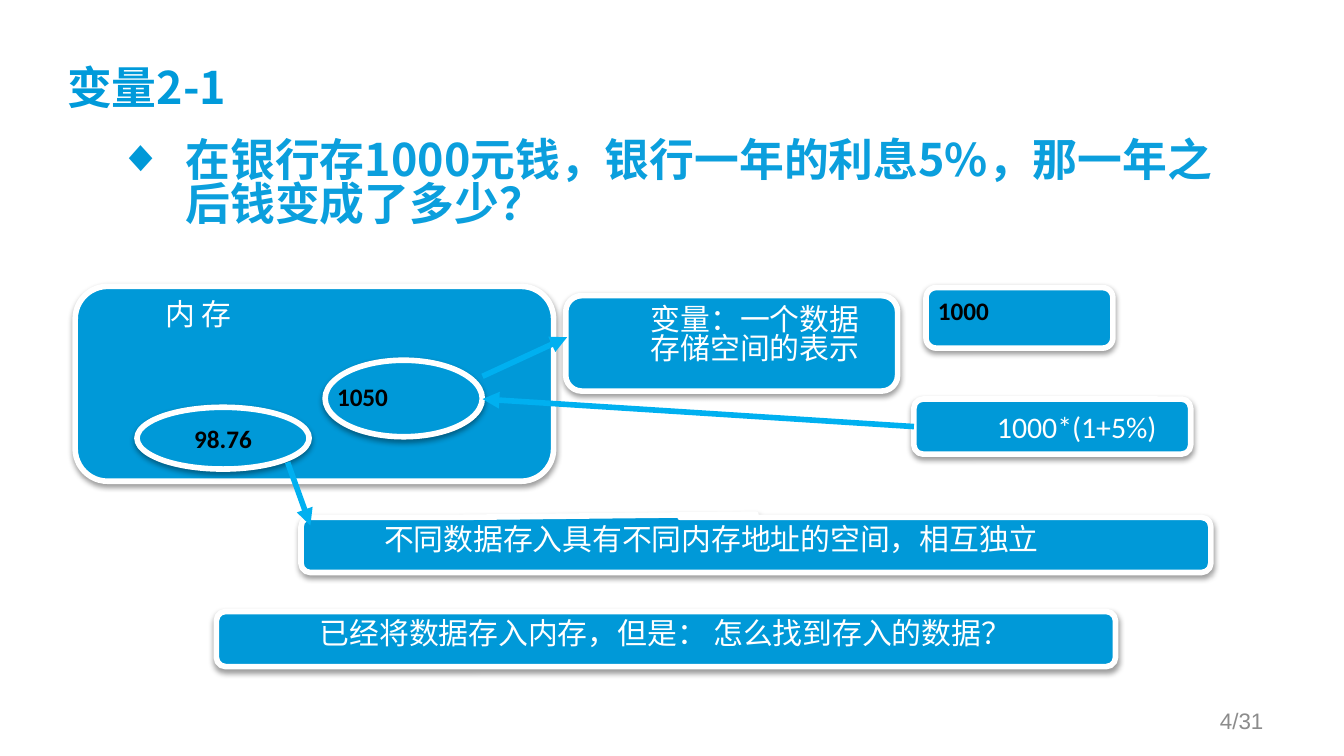
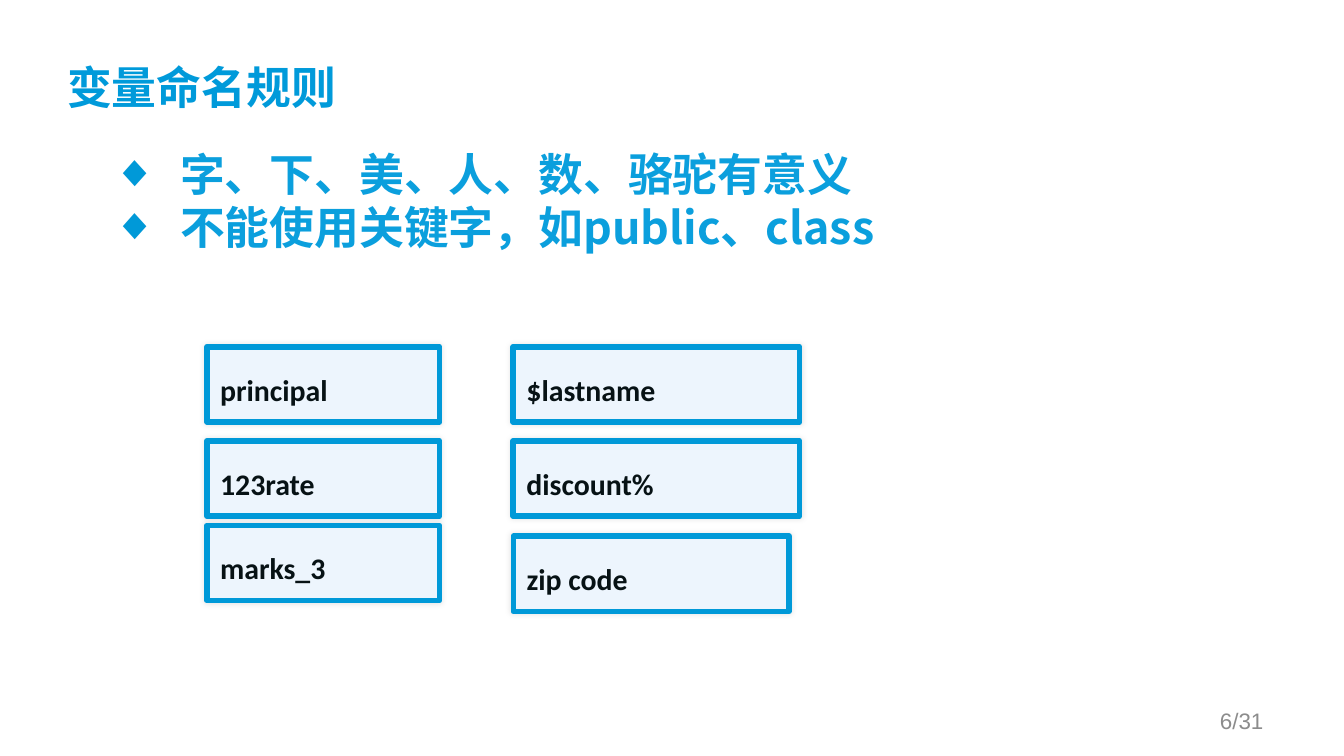
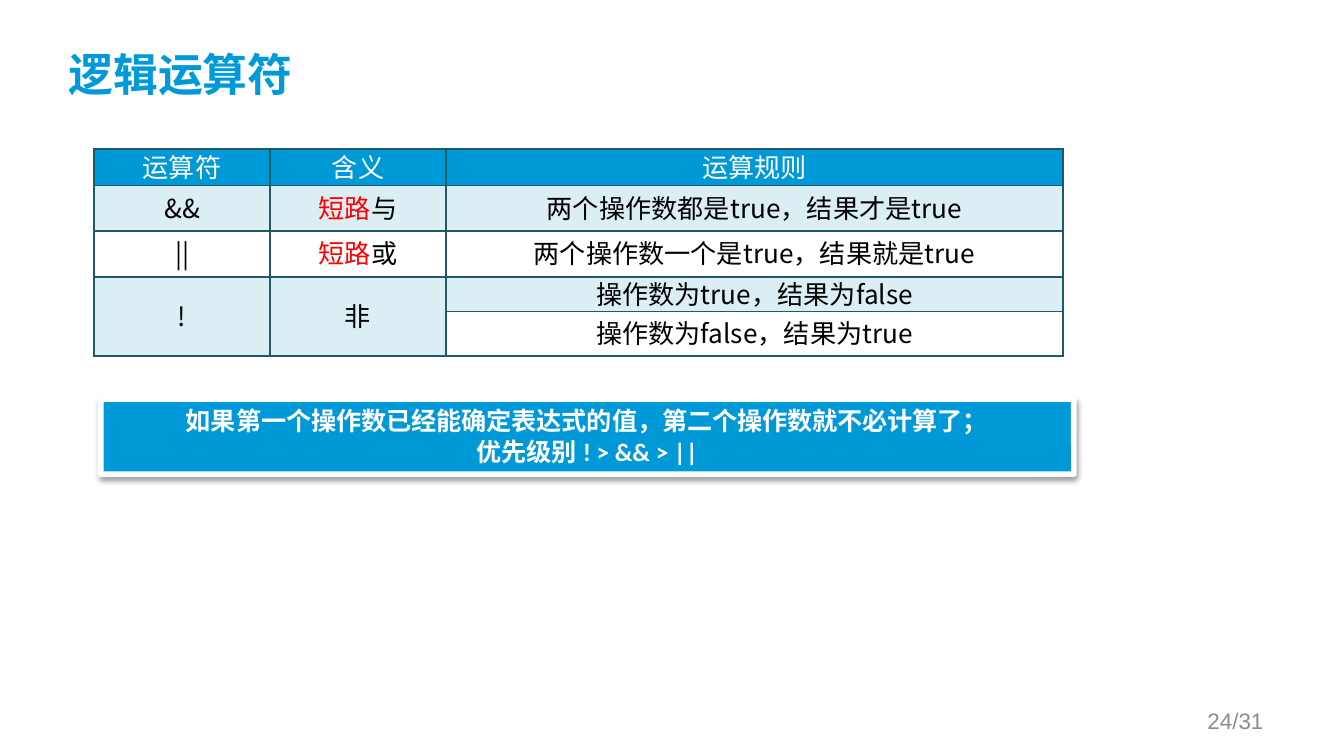
from lxml import etree
from pptx import Presentation
from pptx.dml.color import RGBColor
from pptx.enum import shapes, text
from pptx.oxml.ns import qn
from pptx.util import Pt

BLUE = RGBColor(0x00, 0x99, 0xD8)
TITLE_BLUE = RGBColor(0x00, 0x9A, 0xDA)
BODY_BLUE = RGBColor(0x0B, 0x9F, 0xDD)
ARROW_BLUE = RGBColor(0x00, 0xB0, 0xF0)
PALE_BLUE = RGBColor(0xED, 0xF5, 0xFD)
BAND_BLUE = RGBColor(0xDB, 0xEE, 0xF4)
BORDER = RGBColor(0x21, 0x59, 0x68)
WHITE = RGBColor(0xFF, 0xFF, 0xFF)
BLACK = RGBColor(0x00, 0x00, 0x00)
INK = RGBColor(0x07, 0x12, 0x15)
RED = RGBColor(0xFF, 0x00, 0x00)
GRAY = RGBColor(0x8C, 0x8C, 0x8C)

CHINESE = "Noto Sans CJK SC"
LATIN = "Calibri"
CHINESE_LINE = 0.82
PAGE_COUNT = 31

SHAPE = shapes.MSO_SHAPE
ALIGN = text.PP_ALIGN
DARK_SHADOW = (38, 3.1, 1.6)
FAINT_SHADOW = (10, 3, 0)


def points(*lengths):
    return [Pt(length) for length in lengths]


def add_xml(parent, tag, **attributes):
    return etree.SubElement(parent, qn(tag), {k: str(v) for k, v in attributes.items()})


def style_paragraph(paragraph, size, color, font=CHINESE, bold=False, align=ALIGN.LEFT,
                    margin=0, indent=0):
    paragraph.alignment = align
    if font == CHINESE:
        paragraph.line_spacing = CHINESE_LINE
    paragraph.font.size = Pt(size)
    paragraph.font.bold = bold
    paragraph.font.color.rgb = color
    paragraph.font.name = font
    properties = paragraph._p.get_or_add_pPr()
    properties.set("marL", str(Pt(margin)))
    properties.set("indent", str(Pt(indent)))
    add_xml(properties.find(qn("a:defRPr")), "a:ea", typeface=font)


def write(shape, content, size, color, anchor=text.MSO_ANCHOR.TOP, **style):
    frame = shape.text_frame
    frame.text = content
    frame.word_wrap = True
    frame.auto_size = text.MSO_AUTO_SIZE.NONE
    frame.vertical_anchor = anchor
    for paragraph in frame.paragraphs:
        style_paragraph(paragraph, size, color, **style)
    return frame


def add_text(slide, box, content, size, color, **style):
    write(slide.shapes.add_textbox(*points(*box)), content, size, color, **style)


def add_box(slide, kind, box, fill=BLUE, line=WHITE, shadow=DARK_SHADOW):
    shape = slide.shapes.add_shape(kind, *points(*box))
    shape.fill.solid()
    shape.fill.fore_color.rgb = fill
    shape.line.color.rgb = line
    shape.line.width = Pt(3)
    shape.shadow.inherit = False
    alpha, blur, distance = shadow
    effects = shape._element.spPr.find(qn("a:effectLst"))
    outer = add_xml(effects, "a:outerShdw", blurRad=Pt(blur), dist=Pt(distance),
                    dir=5400000, rotWithShape=0)
    add_xml(add_xml(outer, "a:srgbClr", val=BLACK), "a:alpha", val=alpha * 1000)
    return shape


def add_arrow(slide, start, end):
    arrow = slide.shapes.add_connector(shapes.MSO_CONNECTOR.STRAIGHT, *points(*start, *end))
    arrow.line.color.rgb = ARROW_BLUE
    arrow.line.width = Pt(3)
    add_xml(arrow.line._get_or_add_ln(), "a:tailEnd", type="triangle")
    add_xml(arrow._element.spPr, "a:effectLst")
    return arrow


def place(shape, box):
    shape.left, shape.top, shape.width, shape.height = points(*box)


def add_slide(presentation, layout, title, page, title_at=(36, 16.6)):
    """Add a slide with its title and page number."""
    slide = presentation.slides.add_slide(presentation.slide_layouts[layout])
    place(slide.shapes.title, (*title_at, 648, 67.7))
    frame = write(slide.shapes.title, title, 24, TITLE_BLUE, bold=True,
                  anchor=text.MSO_ANCHOR.MIDDLE)
    frame.margin_left = frame.margin_top = 0
    add_text(slide, (516.2, 375.1, 167.8, 21.6), f"{page}/{PAGE_COUNT}", 12, GRAY,
             font="Arial", align=ALIGN.RIGHT, anchor=text.MSO_ANCHOR.MIDDLE)
    return slide


def write_bullets(slide, box, items):
    body = slide.placeholders[1]
    place(body, box)
    frame = write(body, "\n".join(items), 24, BODY_BLUE, bold=True, margin=36, indent=-36)
    for paragraph in frame.paragraphs:
        paragraph.space_before = Pt(4.8)
        properties = paragraph._p.pPr
        color = add_xml(properties, "a:buClr")
        add_xml(color, "a:srgbClr", val=BLUE)
        bullet = add_xml(properties, "a:buChar", char="◆")
        for element in (color, bullet):
            properties.find(qn("a:defRPr")).addprevious(element)


def write_cell(cell, content, color, fill):
    """Fill a table cell; a (stressed, rest) pair puts its first part in red."""
    cell.margin_left = cell.margin_right = cell.margin_top = Pt(0.72)
    cell.margin_bottom = 0
    cell.vertical_anchor = text.MSO_ANCHOR.MIDDLE
    paragraph = cell.text_frame.paragraphs[0]
    stressed, rest = content if isinstance(content, tuple) else ("", content)
    if stressed:
        run = paragraph.add_run()
        run.text = stressed
        run.font.color.rgb = RED
    paragraph.add_run().text = rest
    paragraph.space_before = Pt(2.8)
    style_paragraph(paragraph, 14, color, align=ALIGN.CENTER)
    for side in "LRTB":
        line = add_xml(cell._tc.get_or_add_tcPr(), f"a:ln{side}", w=Pt(1))
        add_xml(add_xml(line, "a:solidFill"), "a:srgbClr", val=BORDER)
    cell.fill.solid()
    cell.fill.fore_color.rgb = fill


def add_operator_table(slide, left, top, widths, heights, rows):
    table = slide.shapes.add_table(len(heights), len(widths), *points(
        left, top, sum(widths), sum(heights))).table
    for column, width in zip(table.columns, widths):
        column.width = Pt(width)
    for row, height in zip(table.rows, heights):
        row.height = Pt(height)
    for r, row in enumerate(rows):
        fill = BLUE if r == 0 else BAND_BLUE if r % 2 else WHITE
        for c, content in enumerate(row):
            write_cell(table.cell(r, c), content, BLACK if r else WHITE, fill)
    for c in (0, 1):
        table.cell(3, c).merge(table.cell(4, c))


def build_variable_slide(presentation):
    slide = add_slide(presentation, 1, "变量2-1", 4)
    write_bullets(slide, (56.2, 72, 624.2, 85),
                  ["在银行存1000元钱，银行一年的利息5%，那一年之后钱变成了多少？"])
    value = dict(size=13.5, color=BLACK, font=LATIN, bold=True)
    label = dict(size=16, color=WHITE)

    formula = add_box(slide, SHAPE.ROUNDED_RECTANGLE, (489.6, 213.8, 148.3, 29.5))
    write(formula, "1000*(1+5%)", font=LATIN, margin=36, **label)
    add_box(slide, SHAPE.ROUNDED_RECTANGLE, (496.1, 154.1, 100.1, 32.4))
    memory = add_box(slide, SHAPE.ROUNDED_RECTANGLE, (40.3, 153.4, 256.3, 104.4))
    write(memory, "内 存", margin=36, **label)
    add_box(slide, SHAPE.OVAL, (174.2, 193, 84.2, 41))
    add_text(slide, (495.4, 154.8, 175.7, 23.8), "1000", **value)

    variable = add_box(slide, SHAPE.ROUNDED_RECTANGULAR_CALLOUT, (303.1, 158.4, 177.8, 51.1))
    variable.adjustments[0], variable.adjustments[1] = -0.5, 0.03
    write(variable, "变量：一个数据\n存储空间的表示", margin=36, **label)
    other_value = add_box(slide, SHAPE.OVAL, (73.4, 218.2, 92.2, 33.1))
    write(other_value, "98.76", align=ALIGN.CENTER, margin=18, indent=-18, **value)
    address = add_box(slide, SHAPE.ROUNDED_RECTANGULAR_CALLOUT, (161.3, 277.2, 487.4, 29.5))
    address.adjustments[0], address.adjustments[1] = 0, -0.56
    write(address, "不同数据存入具有不同内存地址的空间，相互独立", margin=36, **label)
    question = add_box(slide, SHAPE.ROUNDED_RECTANGLE, (115.9, 327.6, 481.7, 29.5))
    write(question, "已经将数据存入内存，但是： 怎么找到存入的数据？", align=ALIGN.CENTER,
          margin=18, indent=-18, **label)

    add_arrow(slide, (258.5, 201.6), (303.8, 180.7))
    add_arrow(slide, (154.1, 247.7), (166.3, 281.5))
    add_text(slide, (173.5, 200.9, 85, 23.8), "1050", **value)
    add_arrow(slide, (489.6, 228.5), (258.5, 213.8)).begin_connect(formula, 1)


def build_naming_slide(presentation):
    slide = add_slide(presentation, 1, "变量命名规则", 6)
    write_bullets(slide, (53.3, 79.9, 611.3, 267.1),
                  ["字、下、美、人、数、骆驼有意义", "不能使用关键字，如public、class"])
    columns = [
        (110.9, [("principal", 185.8, 124.6), ("123rate", 236.2, 124.6),
                 ("marks_3", 281.5, 124.6)]),
        (275, [("$lastname", 185.8, 153.4), ("discount%", 236.2, 153.4),
               ("zip code", 287.3, 147.6)]),
    ]
    for left, names in columns:
        for name, top, width in names:
            box = add_box(slide, SHAPE.ROUNDED_RECTANGLE, (left, top, width, 40.3),
                          PALE_BLUE, BLUE, FAINT_SHADOW)
            box.adjustments[0] = 0
            frame = write(box, name, 16, INK, font=LATIN, bold=True)
            frame.paragraphs[0].line_spacing = 1.5


def build_operator_slide(presentation):
    slide = add_slide(presentation, 5, "逻辑运算符", 24, title_at=(36.7, 10.1))
    note = add_box(slide, SHAPE.ROUNDED_RECTANGLE, (54, 213.8, 521.3, 40.3))
    note.adjustments[0] = 0.005
    write(note, "如果第一个操作数已经能确定表达式的值，第二个操作数就不必计算了；\n"
          "优先级别 ! > && > ||", 13.5, WHITE, font=LATIN, bold=True,
          align=ALIGN.CENTER, margin=18, indent=-18)
    add_operator_table(slide, 50.4, 79.9, (94.3, 94.3, 330.5), (19.4, 24.5, 24.5, 18.7, 23.8), [
        ("运算符", "含义", "运算规则"),
        ("&&", ("短路", "与"), "两个操作数都是true，结果才是true"),
        ("||", ("短路", "或"), "两个操作数一个是true，结果就是true"),
        ("!", "非", "操作数为true，结果为false"),
        ("", "", "操作数为false，结果为true"),
    ])


def main():
    presentation = Presentation()
    presentation.slide_width, presentation.slide_height = points(720, 405)
    build_variable_slide(presentation)
    build_naming_slide(presentation)
    build_operator_slide(presentation)
    presentation.save("out.pptx")


if __name__ == "__main__":
    main()
